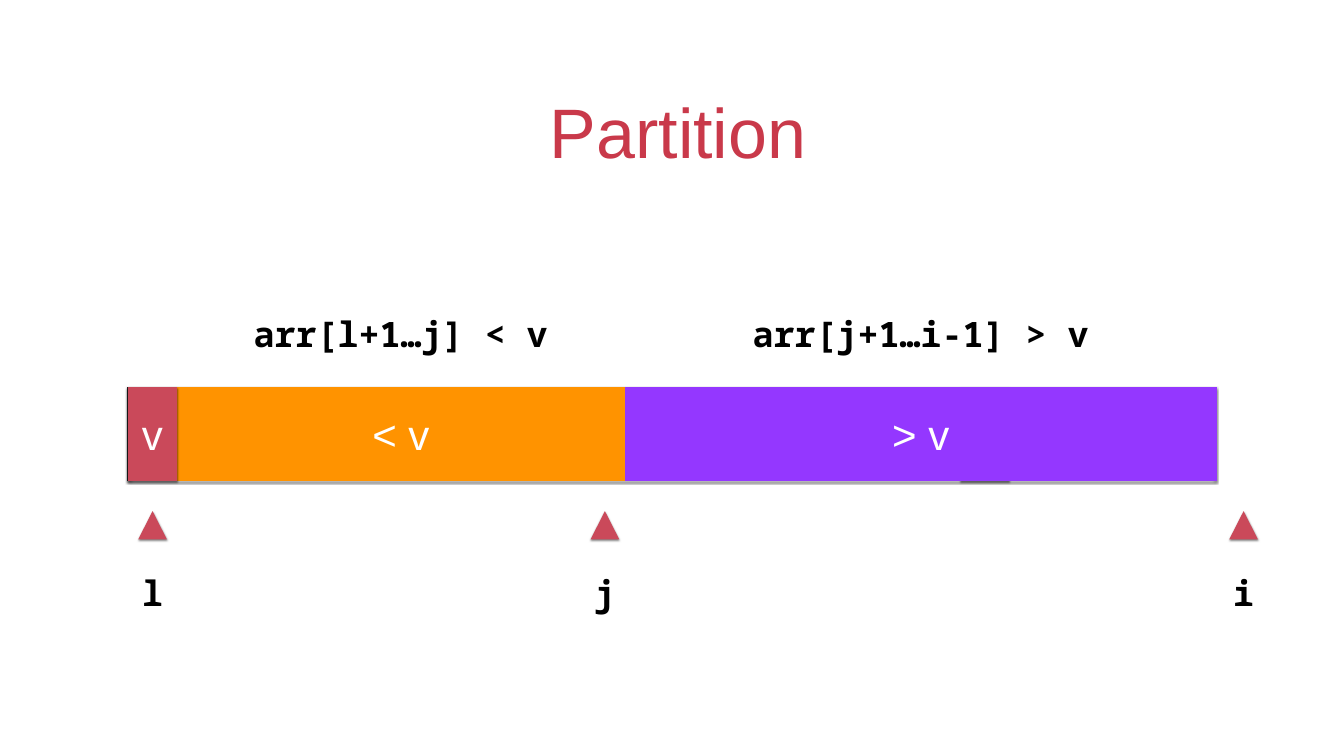
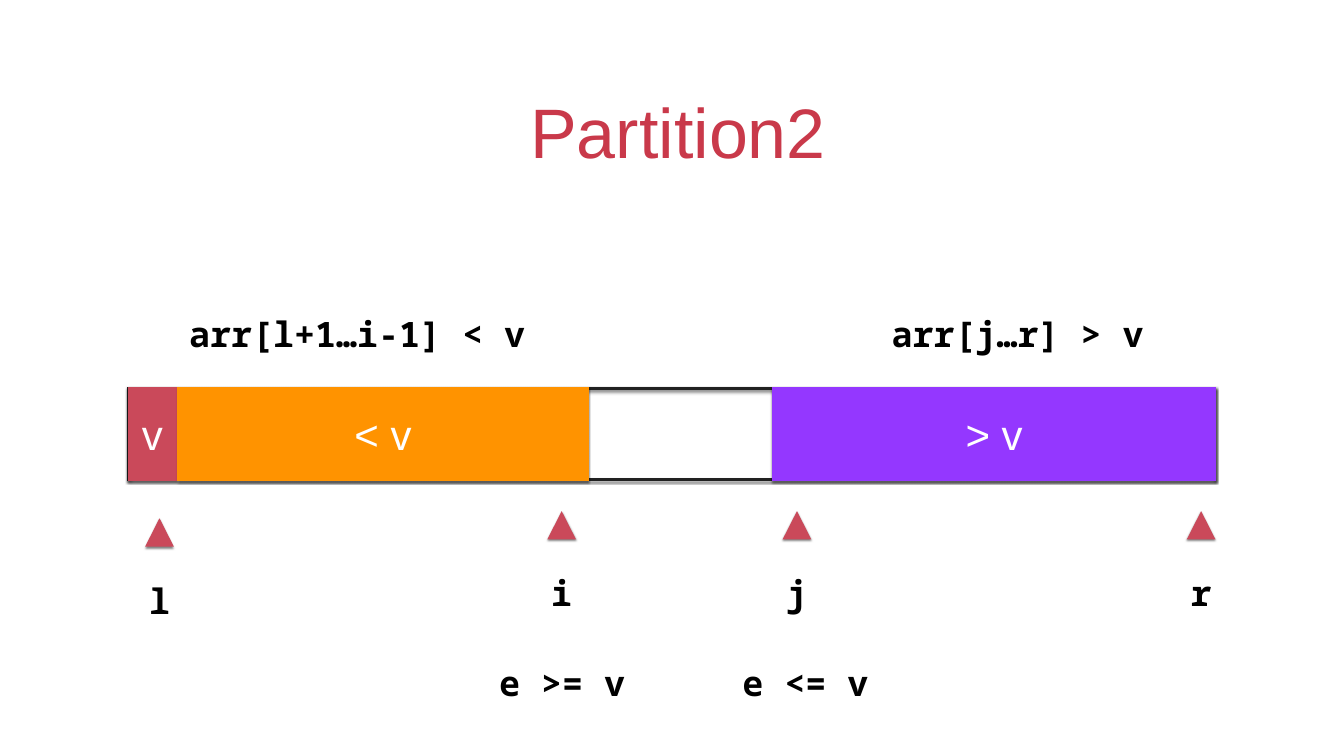
from lxml.etree import SubElement
from pptx import Presentation
from pptx.dml.color import RGBColor
from pptx.enum.shapes import MSO_SHAPE
from pptx.enum.text import MSO_ANCHOR, PP_ALIGN
from pptx.oxml.ns import qn
from pptx.util import Cm, Pt

RED = RGBColor(0xCA, 0x49, 0x5A)
TITLE_RED = RGBColor(0xC9, 0x39, 0x4A)
ORANGE = RGBColor(0xFF, 0x93, 0x00)
PURPLE = RGBColor(0x94, 0x37, 0xFF)
DARK = RGBColor(0x21, 0x21, 0x21)
BLACK = RGBColor(0, 0, 0)
WHITE = RGBColor(0xFF, 0xFF, 0xFF)

SANS, MONO = "Arial", "Noto Sans Mono"

BAR_LEFT, BAR_TOP, BAR_W, BAR_H = 6.5, 19.58, 54.71, 4.6
CELL_W = 2.31
LESS_LEFT = 9.02
CAPTION_TOP, NOTE_TOP, TEXT_H = 15.65, 33.22, 2.34
MARKER_TOP, MARKER_W, MARKER_H = 25.76, 1.45, 1.43
LABEL_GAP, LABEL_W = 2.95, 1.37


def write(sp, text, size=50, font=MONO, color=BLACK, bold=False,
          anchor=MSO_ANCHOR.MIDDLE, wrap=True):
    tf = sp.text_frame
    tf.margin_left = tf.margin_right = tf.margin_top = tf.margin_bottom = Cm(0.15)
    tf.vertical_anchor = anchor
    tf.word_wrap = wrap
    p = tf.paragraphs[0]
    p.alignment = PP_ALIGN.CENTER
    r = p.add_run()
    r.text = text
    r.font.size, r.font.name, r.font.bold = Pt(size), font, bold
    r.font.color.rgb = color
    return p


def set_shadow(sp, visible):
    """Replace the theme shadow by a soft one falling straight down, or none."""
    sp.shadow.inherit = False
    if visible:
        effects = sp._element.spPr.find(qn("a:effectLst"))
        shadow = SubElement(effects, qn("a:outerShdw"), blurRad=str(Pt(3)),
                            dist=str(Pt(2)), dir="5400000", rotWithShape="0")
        color = SubElement(shadow, qn("a:srgbClr"), val=str(BLACK))
        SubElement(color, qn("a:alpha"), val="50000")


class Deck:
    """Holds the presentation, its style and the current slide."""

    def __init__(self):
        self.prs = Presentation()
        self.prs.slide_width, self.prs.slide_height = Cm(67.74), Cm(38.1)
        self.s = None

    def new_slide(self, title):
        self.s = self.prs.slides.add_slide(self.prs.slide_layouts[6])
        box = self.s.shapes.add_textbox(Cm(4.93), Cm(3.23), Cm(57.86), Cm(5.64))
        p = write(box, title, size=100, font=SANS, color=TITLE_RED,
                  anchor=MSO_ANCHOR.BOTTOM)
        p._p.get_or_add_pPr().set("indent", str(Cm(0.64)))

    def segment(self, left, width, fill, text="", line=None, shadow=False):
        """Draw a full-height part of the array bar; no fill leaves it open."""
        sp = self.s.shapes.add_shape(MSO_SHAPE.RECTANGLE, Cm(left), Cm(BAR_TOP),
                                     Cm(width), Cm(BAR_H))
        if fill is None:
            sp.fill.background()
        else:
            sp.fill.solid()
            sp.fill.fore_color.rgb = fill
        sp.line.width = Pt(5)
        sp.line.color.rgb = line or fill
        SubElement(sp.line._ln, qn("a:miter"), lim="400000")
        set_shadow(sp, shadow)
        if text:
            write(sp, text, size=60, font=SANS, color=WHITE)

    def array_bar(self):
        self.segment(BAR_LEFT, BAR_W, None, line=DARK, shadow=True)

    def pivot(self):
        self.segment(BAR_LEFT + 0.03, CELL_W, RED, "v", shadow=True)

    def code(self, left, top, width, text, shapes=None, wrap=True):
        shapes = shapes or self.s.shapes
        box = shapes.add_textbox(Cm(left), Cm(top), Cm(width), Cm(TEXT_H))
        write(box, text, bold=True, wrap=wrap)

    def caption(self, left, width, text):
        self.code(left, CAPTION_TOP, width, text)

    def note(self, left, text):
        self.code(left, NOTE_TOP, 6.68, text, wrap=False)

    def marker(self, center, name, top=MARKER_TOP):
        """Group a triangle with the index name below it."""
        shapes = self.s.shapes.add_group_shape().shapes
        sp = shapes.add_shape(MSO_SHAPE.ISOSCELES_TRIANGLE,
                              Cm(center - MARKER_W / 2), Cm(top),
                              Cm(MARKER_W), Cm(MARKER_H))
        sp.fill.solid()
        sp.fill.fore_color.rgb = RED
        sp.line.fill.background()
        set_shadow(sp, True)
        self.code(center - LABEL_W / 2, top + LABEL_GAP, LABEL_W, name,
                  shapes=shapes, wrap=False)


def partition(deck):
    deck.new_slide("Partition")
    deck.segment(48.49, CELL_W, PURPLE, shadow=True)
    deck.array_bar()
    deck.segment(31.55, 29.72, PURPLE, "> v")
    for center, name in ((7.69, "l"), (30.49, "j"), (62.68, "i")):
        deck.marker(center, name)
    deck.caption(11.96, 16.48, "arr[l+1…j] < v")
    deck.caption(35.13, 22.56, "arr[j+1…i-1] > v")
    deck.segment(LESS_LEFT, 22.38, ORANGE, "< v")
    deck.pivot()


def partition2(deck):
    deck.new_slide("Partition2")
    deck.array_bar()
    deck.pivot()
    for center, name in ((60.54, "r"), (40.17, "j"), (28.31, "i")):
        deck.marker(center, name)
    deck.marker(8.04, "l", top=MARKER_TOP + 0.36)
    deck.caption(8.38, 19.25, "arr[l+1…i-1] < v")
    deck.caption(44.17, 14.25, "arr[j…r] > v")
    deck.segment(LESS_LEFT, 20.57, ORANGE, "< v", shadow=True)
    deck.segment(38.99, 22.23, PURPLE, "> v", shadow=True)
    deck.note(24.99, "e >= v")
    deck.note(37.26, "e <= v")


def main():
    deck = Deck()
    partition(deck)
    partition2(deck)
    deck.prs.save("out.pptx")


if __name__ == "__main__":
    main()
